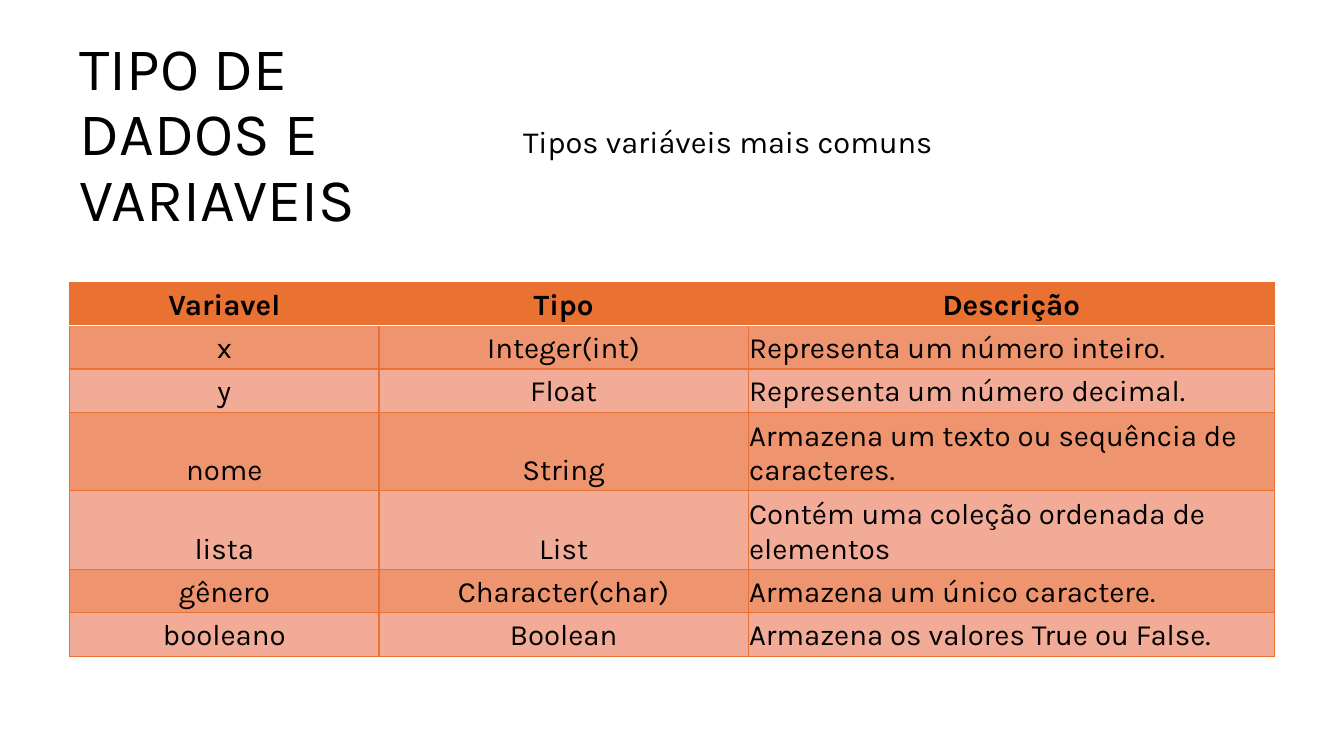
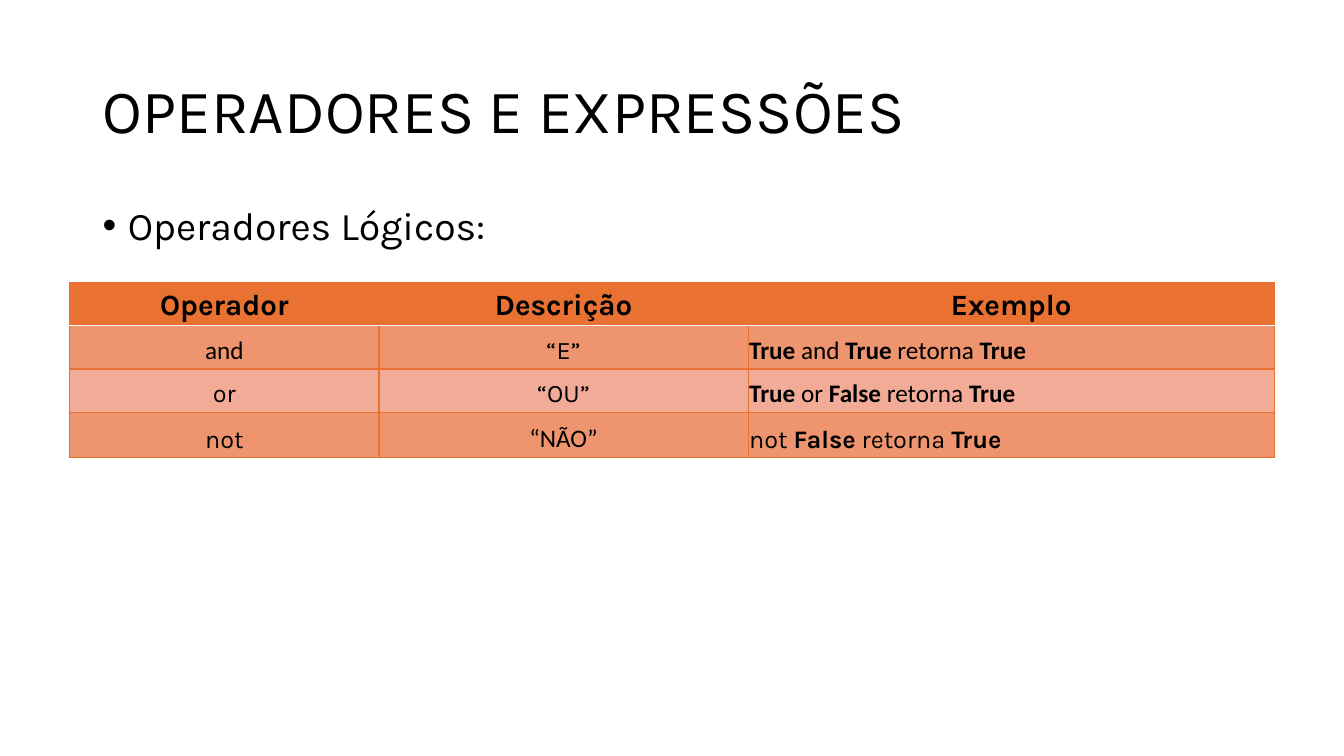
from lxml import etree
from pptx import Presentation
from pptx.dml.color import RGBColor
from pptx.enum.text import MSO_ANCHOR, MSO_AUTO_SIZE, PP_ALIGN
from pptx.oxml.ns import qn
from pptx.util import Inches, Pt

BLACK = RGBColor(0x00, 0x00, 0x00)
WHITE = RGBColor(0xFF, 0xFF, 0xFF)
ORANGE = RGBColor(0xE9, 0x71, 0x32)
BAND_DARK = RGBColor(0xEE, 0x94, 0x6F)
BAND_LIGHT = RGBColor(0xF2, 0xAB, 0x97)

KARLA = "Karla"
CALIBRI = "Calibri"

TABLE_LEFT, TABLE_TOP = 0.69, 2.8
COLUMNS = (3.07, 3.66, 5.22)
ROW = 0.43
TALL_ROW = 0.78
TITLE_ONLY = 5

DATA_TYPES = [
    ("Variavel", "Tipo", "Descrição"),
    ("x", "Integer(int)", "Representa um número inteiro."),
    ("y", "Float", "Representa um número decimal."),
    ("nome", "String", "Armazena um texto ou sequência de caracteres."),
    ("lista", "List", "Contém uma coleção ordenada de elementos"),
    ("gênero", "Character(char)", "Armazena um único caractere."),
    ("booleano", "Boolean", "Armazena os valores True ou False."),
]

LOGICAL_OPERATORS = [
    ("Operador", "Descrição", "Exemplo"),
    ("and", "“E”", "**True** and **True** retorna **True**"),
    ("or", "“OU”", "**True** or **False** retorna **True**"),
    ("not", "“NÃO”", "not **False** retorna **True**"),
]
# (row, column) of the cells set in Calibri
CALIBRI_CELLS = {(1, 0), (1, 2), (2, 2), (3, 1)}


def write(p, text, size, font=KARLA, bold=False, align=PP_ALIGN.LEFT,
          line_spacing=None, bullet=None):
    """Fill a paragraph; **marks** switch bold, a newline breaks the line."""
    if bullet:
        pPr = p._p.get_or_add_pPr()
        pPr.set("marL", str(Inches(0.25)))
        pPr.set("indent", str(Inches(-0.25)))
        etree.SubElement(pPr, qn("a:buFont"), typeface="Arial")
        etree.SubElement(pPr, qn("a:buChar"), char=bullet)
    p.alignment = align
    p.space_before = Pt(0)
    if line_spacing:
        p.line_spacing = line_spacing
    for line_no, line in enumerate(text.split("\n")):
        if line_no:
            p.add_line_break()
        for i, part in enumerate(line.split("**")):
            if part:
                r = p.add_run()
                r.text = part
                r.font.name = font
                r.font.size = Pt(size)
                r.font.bold = bold or i % 2 == 1
                r.font.color.rgb = BLACK


def set_frame(sp, anchor):
    tf = sp.text_frame
    tf.word_wrap = True
    tf.auto_size = MSO_AUTO_SIZE.NONE
    tf.vertical_anchor = anchor
    return tf


def add_titled_slide(prs, title, left, top, width, height, size):
    slide = prs.slides.add_slide(prs.slide_layouts[TITLE_ONLY])
    sp = slide.shapes.title
    sp.left, sp.top = Inches(left), Inches(top)
    sp.width, sp.height = Inches(width), Inches(height)
    tf = set_frame(sp, MSO_ANCHOR.MIDDLE)
    write(tf.paragraphs[0], title, size, line_spacing=0.9)
    return slide


def add_text(slide, text, left, top, width, height, size,
             anchor=MSO_ANCHOR.TOP, margin_top=0.05, bullet=None):
    sp = slide.shapes.add_textbox(Inches(left), Inches(top),
                                  Inches(width), Inches(height))
    tf = set_frame(sp, anchor)
    tf.margin_top = Inches(margin_top)
    write(tf.paragraphs[0], text, size, line_spacing=0.9, bullet=bullet)


def set_borders(cell, **edges):
    """Draw edges given as L, R, T, B = (colour, points)."""
    tcPr = cell._tc.get_or_add_tcPr()
    for i, side in enumerate("LRTB"):
        colour, points = edges.get(side, (ORANGE, 1))
        ln = etree.Element(qn(f"a:ln{side}"), w=str(Pt(points)))
        fill = etree.SubElement(ln, qn("a:solidFill"))
        etree.SubElement(fill, qn("a:srgbClr"), val=str(colour))
        tcPr.insert(i, ln)


def format_cell(cell, row):
    cell.vertical_anchor = MSO_ANCHOR.BOTTOM
    cell.margin_left = cell.margin_right = cell.margin_top = Inches(0.01)
    cell.margin_bottom = Inches(0.03)
    cell.fill.solid()
    bands = (BAND_LIGHT, BAND_DARK)
    cell.fill.fore_color.rgb = bands[row % 2] if row else ORANGE
    header_rule = {0: "B", 1: "T"}.get(row)
    set_borders(cell, **({header_rule: (WHITE, 1.5)} if header_rule else {}))


def add_banded_table(slide, rows, heights, body_size, calibri_cells=()):
    frame = slide.shapes.add_table(
        len(rows), len(COLUMNS), Inches(TABLE_LEFT), Inches(TABLE_TOP),
        Inches(sum(COLUMNS)), Inches(sum(heights)))
    table = frame.table
    table.horz_banding = False
    for column, width in zip(table.columns, COLUMNS):
        column.width = Inches(width)
    for r, (texts, height) in enumerate(zip(rows, heights)):
        table.rows[r].height = Inches(height)
        for c, text in enumerate(texts):
            cell = table.cell(r, c)
            format_cell(cell, r)
            centred = r == 0 or c < len(COLUMNS) - 1
            write(cell.text_frame.paragraphs[0], text,
                  body_size if r else 21,
                  font=CALIBRI if (r, c) in calibri_cells else KARLA,
                  bold=r == 0,
                  align=PP_ALIGN.CENTER if centred else PP_ALIGN.LEFT)


def build_data_types(prs):
    slide = add_titled_slide(prs, "TIPO DE DADOS E\nVARIAVEIS",
                             TABLE_LEFT, 0.55, 3.74, 1.6, size=43.2)
    add_text(slide, "Tipos variáveis mais comuns", 5.09, 0.55, 7.54, 1.6,
             size=22, anchor=MSO_ANCHOR.MIDDLE, margin_top=0.2)
    heights = [ROW] * 3 + [TALL_ROW] * 2 + [ROW] * 2
    add_banded_table(slide, DATA_TYPES, heights, body_size=21)


def build_logical_operators(prs):
    slide = add_titled_slide(prs, "OPERADORES E EXPRESSÕES",
                             0.92, 0.4, 11.5, 1.45, size=44)
    add_text(slide, "Operadores Lógicos:", 0.92, 2, 11.5, 4.76,
             size=28, bullet="•")
    add_banded_table(slide, LOGICAL_OPERATORS, [ROW] * 3 + [0.45],
                     body_size=18, calibri_cells=CALIBRI_CELLS)


def main():
    prs = Presentation()
    prs.slide_width, prs.slide_height = Inches(13.33), Inches(7.5)
    build_data_types(prs)
    build_logical_operators(prs)
    prs.save("out.pptx")


if __name__ == "__main__":
    main()
